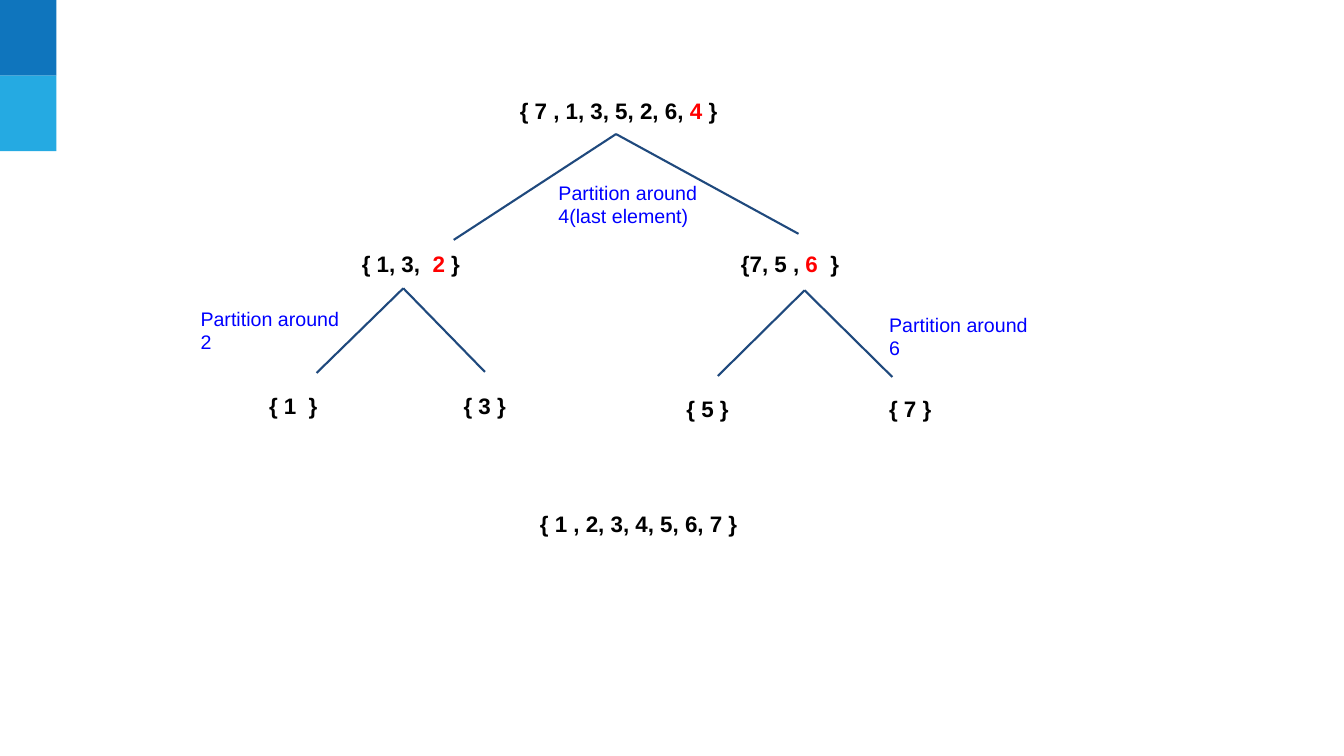
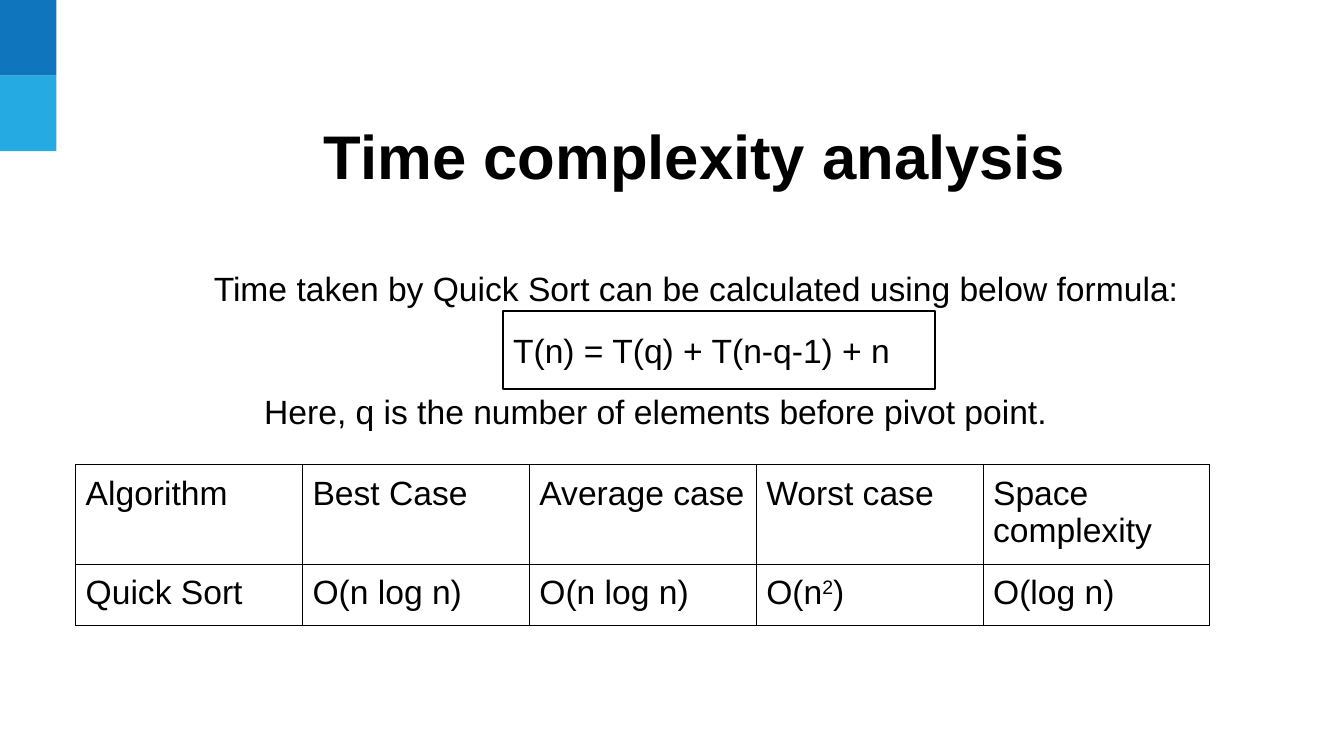
from lxml.etree import SubElement
from pptx import Presentation
from pptx.dml.color import RGBColor
from pptx.enum.shapes import MSO_CONNECTOR, MSO_SHAPE
from pptx.enum.text import MSO_ANCHOR, MSO_AUTO_SIZE, PP_ALIGN
from pptx.oxml.ns import qn
from pptx.util import Pt

PX = 9144  # 100 px to the inch
FONT = "Arial"
BLACK, WHITE, RED, BLUE, NAVY = "000000", "FFFFFF", "FF0000", "0000FF", "1F497D"
BANDS = ["0F75BD", "25AAE2"]
BAND = (56, 75)

# Text between bars is the marked part: a pivot on the tree, a power in the table.
# Sets: text, left, top, width, centred
SETS = [
    ("{ 7 , 1, 3, 5, 2, 6, |4| }", 192, 86, 843, True),
    ("{ 1, 3,  |2| }", 349, 238, 262, False),
    ("{7, 5 ,| 6 | }", 725, 238, 262, False),
    ("{ 1  }", 257, 379, 127, False),
    ("{ 3 }", 450, 379, 127, False),
    ("{ 5 }", 671, 382, 127, False),
    ("{ 7 }", 872, 382, 127, False),
    ("{ 1 , 2, 3, 4, 5, 6, 7 }", 212, 496, 843, True),
]
# Steps: text, left, top
STEPS = [
    ("Partition around\n4(last element)", 544, 169),
    ("Partition around\n2", 189, 294),
    ("Partition around\n6", 872, 300),
]
# Forks: apex, ends
FORKS = [
    ((611, 133), [(450, 238), (792, 232)]),
    ((400, 286), [(314, 370), (481, 369)]),
    ((798, 288), [(712, 373), (885, 374)]),
]

TITLE = "Time complexity analysis"
BODY = [
    "Time taken by Quick Sort can be calculated using below formula:",
    "Here, q is the number of elements before pivot point.",
]
FORMULA = "T(n) = T(q) + T(n-q-1) + n"
COSTS = [
    ["Algorithm", "Best Case", "Average case", "Worst case", "Space complexity"],
    ["Quick Sort", "O(n log n)", "O(n log n)", "O(n|2|)", "O(log n)"],
]
COL, ROWS = 225, [99, 61]


def px(*nums):
    return [round(n * PX) for n in nums]


def rgb(code):
    return RGBColor.from_string(code)


def pad(frame, side=10, top=10):
    frame.margin_left = frame.margin_right = px(side)[0]
    frame.margin_top = frame.margin_bottom = px(top)[0]
    frame.word_wrap = True
    frame.auto_size = MSO_AUTO_SIZE.NONE


def style(frame, size, color=BLACK, bold=False):
    for para in frame.paragraphs:
        for run in para.runs:
            font = run.font
            font.name, font.size, font.bold = FONT, Pt(size), bold
            font.color.rgb = rgb(color)


def write(frame, text, size, color=BLACK, bold=False, mark=None):
    """Fill a frame, passing each part between bars to mark."""
    head, *rest = text.split("|")
    frame.text = head
    para = frame.paragraphs[-1]
    for part in rest:
        para.add_run().text = part
    style(frame, size, color, bold)
    for run in para.runs[1::2]:
        mark(run)


def redden(run):
    run.font.color.rgb = rgb(RED)


def lift(run):
    run._r.get_or_add_rPr().set("baseline", "30000")


def block(slide, box, fill, line=None):
    shape = slide.shapes.add_shape(MSO_SHAPE.RECTANGLE, *px(*box))
    shape.shadow.inherit = False
    shape.fill.solid()
    shape.fill.fore_color.rgb = rgb(fill)
    if line:
        shape.line.color.rgb = rgb(line)
        shape.line.width = Pt(1.5)
    else:
        shape.line.fill.background()
    return shape


def label(slide, box, text, *look):
    frame = slide.shapes.add_textbox(*px(*box)).text_frame
    pad(frame)
    write(frame, text, *look)
    return frame


def link(slide, start, end):
    line = slide.shapes.add_connector(MSO_CONNECTOR.STRAIGHT, *px(*start, *end))
    line.line.color.rgb = rgb(NAVY)
    line.line.width = Pt(1.5)
    SubElement(line.element.spPr, qn("a:effectLst"))


def edge(cell):
    """Draw thin black lines on all four sides of a cell."""
    props = cell._tc.get_or_add_tcPr()
    for side in "LRTB":
        line = SubElement(props, qn(f"a:ln{side}"), w=str(Pt(0.75)))
        fill = SubElement(line, qn("a:solidFill"))
        SubElement(fill, qn("a:srgbClr"), val=BLACK)


def brand(deck, slide):
    """Move the corner bands to the master, behind its placeholders."""
    tree = deck.slide_master.shapes.element
    wide, high = BAND
    for i, color in enumerate(BANDS):
        band = block(slide, (0, i * high, wide, high), color)
        tree.insert(2 + i, band.element)


def draw_tree(slide):
    for apex, ends in FORKS:
        for end in ends:
            link(slide, apex, end)
    for text, left, top, wide, mid in SETS:
        frame = label(slide, (left, top, wide, 47), text, 16, BLACK, True, redden)
        if mid:
            frame.paragraphs[0].alignment = PP_ALIGN.CENTER
    for text, left, top in STEPS:
        label(slide, (left, top, 192, 67), text, 14, BLUE)


def place(shape, box):
    shape.left, shape.top, shape.width, shape.height = px(*box)


def draw_text(slide):
    title, body = slide.placeholders
    place(title, (252, 109, 875, 90))
    pad(title.text_frame, top=5)
    write(title.text_frame, TITLE, 44, bold=True)
    title.text_frame.vertical_anchor = MSO_ANCHOR.MIDDLE
    title.text_frame.paragraphs[0].alignment = PP_ALIGN.CENTER

    place(body, (202, 256, 1015, 222))
    pad(body.text_frame)
    write(body.text_frame, "\n".join(BODY), 24)
    for para, left, gap in zip(body.text_frame.paragraphs, (0, 50), (0, 59)):
        props = para._p.get_or_add_pPr()
        props.set("marL", str(px(left)[0]))
        props.set("indent", "0")
        SubElement(props, qn("a:buNone"))
        para.space_before = Pt(gap)

    frame = block(slide, (499, 309, 428, 77), WHITE, BLACK).text_frame
    pad(frame)
    write(frame, FORMULA, 24)
    frame.vertical_anchor = MSO_ANCHOR.MIDDLE
    frame.paragraphs[0].alignment = PP_ALIGN.LEFT


def draw_table(slide):
    cols = len(COSTS[0])
    box = px(75, 461, COL * cols, sum(ROWS))
    table = slide.shapes.add_table(len(COSTS), cols, *box).table
    table.first_row = table.horz_banding = False
    for col in table.columns:
        col.width = px(COL)[0]
    for r, texts in enumerate(COSTS):
        table.rows[r].height = px(ROWS[r])[0]
        for c, text in enumerate(texts):
            cell = table.cell(r, c)
            cell.margin_left = cell.margin_right = px(10)[0]
            cell.margin_top = cell.margin_bottom = px(10)[0]
            write(cell.text_frame, text, 24, mark=lift)
            edge(cell)
            cell.fill.background()


def main():
    deck = Presentation()
    deck.slide_width, deck.slide_height = px(1333, 750)
    tree = deck.slides.add_slide(deck.slide_layouts[6])
    brand(deck, tree)
    draw_tree(tree)
    costs = deck.slides.add_slide(deck.slide_layouts[1])
    draw_text(costs)
    draw_table(costs)
    deck.save("out.pptx")


if __name__ == "__main__":
    main()
